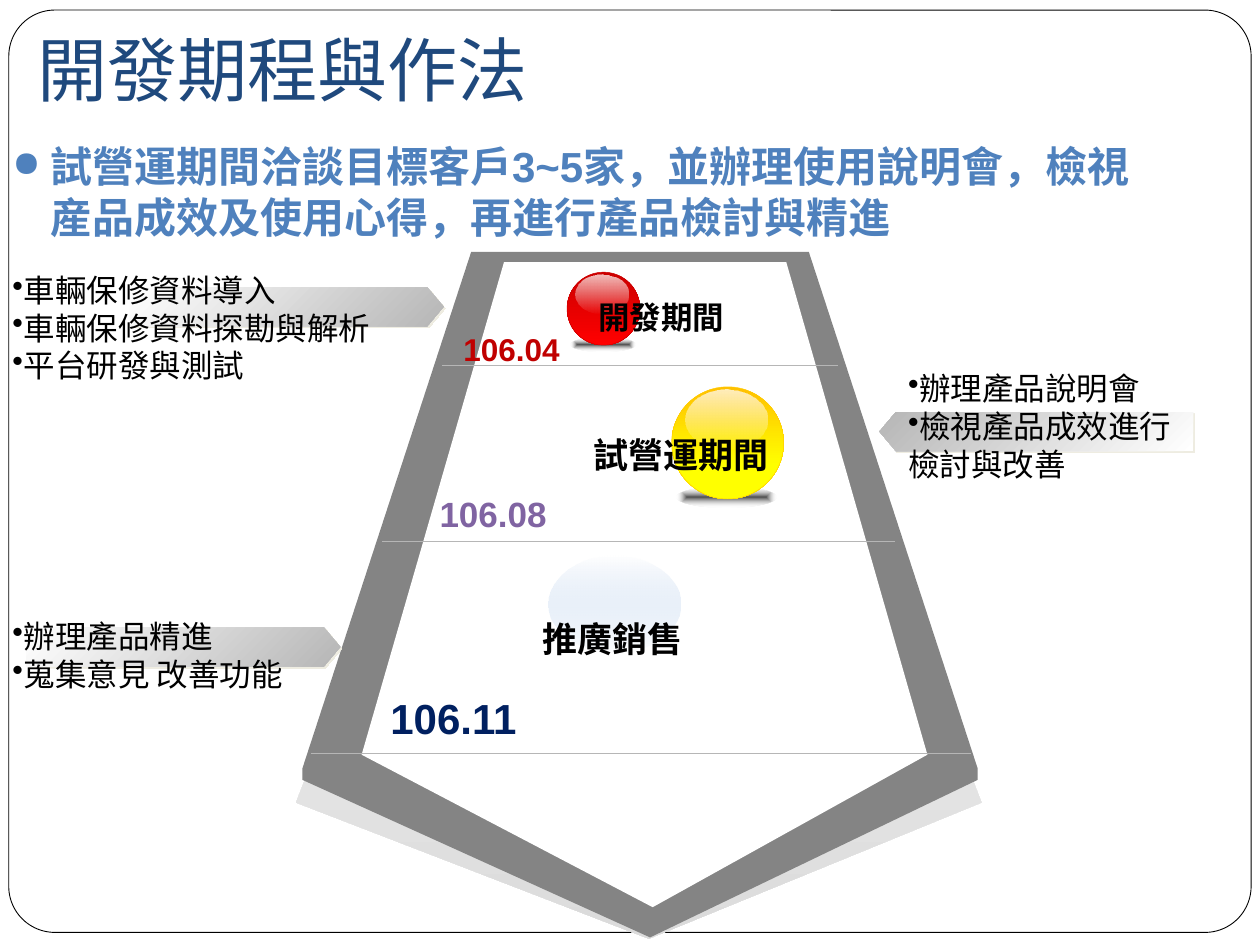
from lxml import etree
from pptx import Presentation
from pptx import util as u
from pptx.dml.color import RGBColor
from pptx.enum import shapes, text
from pptx.oxml.ns import qn

BLACK = RGBColor(0x00, 0x00, 0x00)
WHITE = RGBColor(0xFF, 0xFF, 0xFF)
NAVY = RGBColor(0x1F, 0x49, 0x7D)
BLUE = RGBColor(0x4F, 0x81, 0xBD)
DEEP = RGBColor(0x00, 0x20, 0x60)
PURPLE = RGBColor(0x80, 0x64, 0xA2)
CRIMSON = RGBColor(0xC0, 0x00, 0x00)
RED = RGBColor(0xCC, 0x00, 0x00)
BRIGHT_RED = RGBColor(0xFF, 0x00, 0x00)
AMBER = RGBColor(0xFF, 0xC0, 0x00)
GOLD = RGBColor(0xFF, 0xCC, 0x00)
YELLOW = RGBColor(0xFF, 0xFF, 0x00)
FRAME = RGBColor(0x84, 0x84, 0x84)
SILVER = RGBColor(0xB6, 0xB6, 0xB6)
PALE = RGBColor(0xDB, 0xDB, 0xDB)
SOOT = RGBColor(0x17, 0x17, 0x17)
CREAM = RGBColor(0xFF, 0xFC, 0xF9)
SKY = RGBColor(0x8E, 0xB4, 0xE3)
IVORY = RGBColor(0xEE, 0xEC, 0xE1)

prs = Presentation()
prs.slide_width, prs.slide_height = u.Inches(10), u.Inches(7.5)
s = prs.slides.add_slide(prs.slide_layouts[6])
C = prs.slide_width // 100   # grid of 100 columns
R = prs.slide_height // 75   # by 75 rows


def add_text(lines, x, y, w, h, size=18, color=BLACK, font="Arial", bold=False,
             bullet=None, indent=0, wrap=True):
    tf = s.shapes.add_textbox(int(x * C), int(y * R), int(w * C), int(h * R)).text_frame
    tf.word_wrap = wrap
    tf.vertical_anchor = text.MSO_ANCHOR.TOP
    for i, line in enumerate(lines):
        p = tf.add_paragraph() if i else tf.paragraphs[0]
        if bullet:
            pPr = p._p.get_or_add_pPr()
            pPr.set("marL", str(int(indent * C)))
            pPr.set("indent", str(int(-indent * C)))
            if indent:
                clr = etree.SubElement(pPr, qn("a:buClr"))
                etree.SubElement(clr, qn("a:srgbClr"), val=str(color))
                etree.SubElement(pPr, qn("a:buSzPct"), val="85000")
            etree.SubElement(pPr, qn("a:buChar"), char=bullet)
        r = p.add_run()
        r.text = line
        r.font.name, r.font.size, r.font.bold = font, u.Pt(size), bold
        r.font.color.rgb = color


def gradient(sp, stops, angle=90):
    """Stops are (percent, colour, opacity); angle None runs out from the centre."""
    sp.fill.background()
    grad = etree.Element(qn("a:gradFill"), rotWithShape="1")
    gs_list = etree.SubElement(grad, qn("a:gsLst"))
    for pos, color, opacity in stops:
        gs = etree.SubElement(gs_list, qn("a:gs"), pos=str(pos * 1000))
        clr = etree.SubElement(gs, qn("a:srgbClr"), val=str(color))
        if opacity < 100:
            etree.SubElement(clr, qn("a:alpha"), val=str(opacity * 1000))
    if angle is None:
        way = etree.SubElement(grad, qn("a:path"), {"path": "shape"})
        etree.SubElement(way, qn("a:fillToRect"), dict.fromkeys("ltrb", "50000"))
    else:
        etree.SubElement(grad, qn("a:lin"), ang=str(angle * 60000), scaled="1")
    spPr = sp._element.spPr
    spPr.replace(spPr.find(qn("a:noFill")), grad)


# Rounded slide border
sp = s.shapes.add_shape(shapes.MSO_SHAPE.ROUNDED_RECTANGLE,
                        int(0.7 * C), int(0.8 * R), int(98.6 * C), int(73.2 * R))
sp.adjustments[0] = 0.05
sp.shadow.inherit = False
sp.fill.solid()
sp.fill.fore_color.rgb = WHITE
sp.line.color.rgb, sp.line.width = BLACK, u.Pt(0.5)

# Title and lead sentence
add_text(["開發期程與作法"], 2, 1.6, 95.3, 9.9, size=40, color=NAVY, font="Karla")
add_text(["試營運期間洽談目標客戶3~5家，並辦理使用說明會，檢視産品成效及使用心得，再進行產品檢討與精進"],
         0, 10.7, 92.3, 56.3, size=24, color=BLUE, bold=True, bullet="●", indent=3)

# Road: cast shadow, thick frame, white surface
ROAD = [
    (None, [(37.1, 28.6), (64.3, 28.6), (77.9, 63.7), (51.5, 74.5), (23.5, 63.7)]),
    (FRAME, [(37.4, 20), (64.2, 20), (77.6, 61), (77.6, 61.9), (51.6, 74.4),
             (24, 61.9), (24, 61)]),
    (WHITE, [(40, 20.8), (62.4, 20.8), (73.6, 59.9), (51.8, 72), (28.7, 59.9)]),
]
for color, points in ROAD:
    corners = [(int(x * C), int(y * R)) for x, y in points]
    builder = s.shapes.build_freeform(*corners[0])
    builder.add_line_segments(corners[1:], close=True)
    sp = builder.convert_to_shape()
    sp.shadow.inherit = False
    sp.line.fill.background()
    if color is None:
        gradient(sp, [(0, WHITE, 100), (100, PALE, 100)])
    else:
        sp.fill.solid()
        sp.fill.fore_color.rgb = color

# Stage dividers
for x1, x2, y in [(24.7, 77.1, 59.8), (30.3, 71, 43), (35.1, 66.5, 29)]:
    line = s.shapes.add_connector(shapes.MSO_CONNECTOR.STRAIGHT,
                                  int(x1 * C), int(y * R), int(x2 * C), int(y * R))
    line.line.color.rgb, line.line.width = SILVER, u.Pt(0.75)
    etree.SubElement(line._element.spPr, qn("a:effectLst"))

# Stage balls: ground shadow, body and gloss
GROUND = [(0, SOOT, 76), (100, WHITE, 0)]
GLOSS = [(0, CREAM, 77), (100, WHITE, 0)]
BALLS = [
    (53.7, 38.6, 7.9, 1.7, GROUND, None, None),
    (53.3, 30.7, 8.9, 8.9, [(0, AMBER, 100), (70, YELLOW, 100), (100, YELLOW, 100)], 90, GOLD),
    (54.4, 30.9, 6.5, 4.8, GLOSS, 90, None),
    (43.5, 44.1, 10.5, 7.7, [(0, WHITE, 77), (100, SKY, 0)], 90, None),
    (45.3, 26.8, 5.1, 1.1, GROUND, None, None),
    (45, 21.6, 5.8, 5.8, [(0, RED, 100), (100, BRIGHT_RED, 100)], 90, RED),
    (45.7, 21.8, 4.2, 3.1, GLOSS, 90, None),
]
for x, y, w, h, stops, angle, edge in BALLS:
    sp = s.shapes.add_shape(shapes.MSO_SHAPE.OVAL,
                            int(x * C), int(y * R), int(w * C), int(h * R))
    sp.shadow.inherit = False
    gradient(sp, stops, angle)
    if edge is None:
        sp.line.fill.background()
    else:
        sp.line.color.rgb, sp.line.width = edge, u.Pt(0.25)

# Stage dates
for label, x, y, w, h, size, color in [("106.11", 30, 54.5, 12.1, 5, 24, DEEP),
                                       ("106.08", 33.9, 38.6, 10.6, 4.4, 20, PURPLE),
                                       ("106.04", 35.8, 25.7, 9.7, 4, 18, CRIMSON)]:
    add_text([label], x, y, w, h, size=size, color=color, bold=True, wrap=False)

# Pointers towards the road
for x, y, turn in [(69.8, 32.7, 180), (10.3, 22.8, 0), (2.1, 49.8, 0)]:
    sp = s.shapes.add_shape(shapes.MSO_SHAPE.PENTAGON,
                            int(x * C), int(y * R), int(24.9 * C), int(3.1 * R))
    sp.adjustments[0] = 0.42
    sp.rotation = turn
    sp.line.fill.background()
    gradient(sp, [(0, WHITE, 100), (100, SILVER, 100)], 45)
    sp.shadow.inherit = False
    shadow = etree.SubElement(sp._element.spPr.find(qn("a:effectLst")), qn("a:outerShdw"),
                              dist=str(u.Pt(1.4)), dir="2700000", rotWithShape="0")
    etree.SubElement(shadow, qn("a:srgbClr"), val=str(IVORY))

# Stage names
for label, x, y, w, h, size in [("開發期間", 46.5, 23.2, 12.1, 4, 18),
                                ("試營運期間", 46.1, 33.9, 16, 4.4, 20),
                                ("推廣銷售", 42.1, 48.5, 13.2, 4.4, 20)]:
    add_text([label], x, y, w, h, size=size, bold=True, wrap=False)

# Tasks of each stage
add_text(["車輛保修資料導入", "車輛保修資料探勘與解析", "平台研發與測試"],
         0, 21, 31.1, 13.1, bullet="•")
add_text(["辦理產品精進", "蒐集意見 改善功能"], 0, 48.5, 23.8, 7.1, bullet="•", wrap=False)
add_text(["辦理產品說明會", "檢視產品成效進行檢討與改善"], 71.1, 28.8, 23.2, 10.1, bullet="•")

prs.save("out.pptx")
